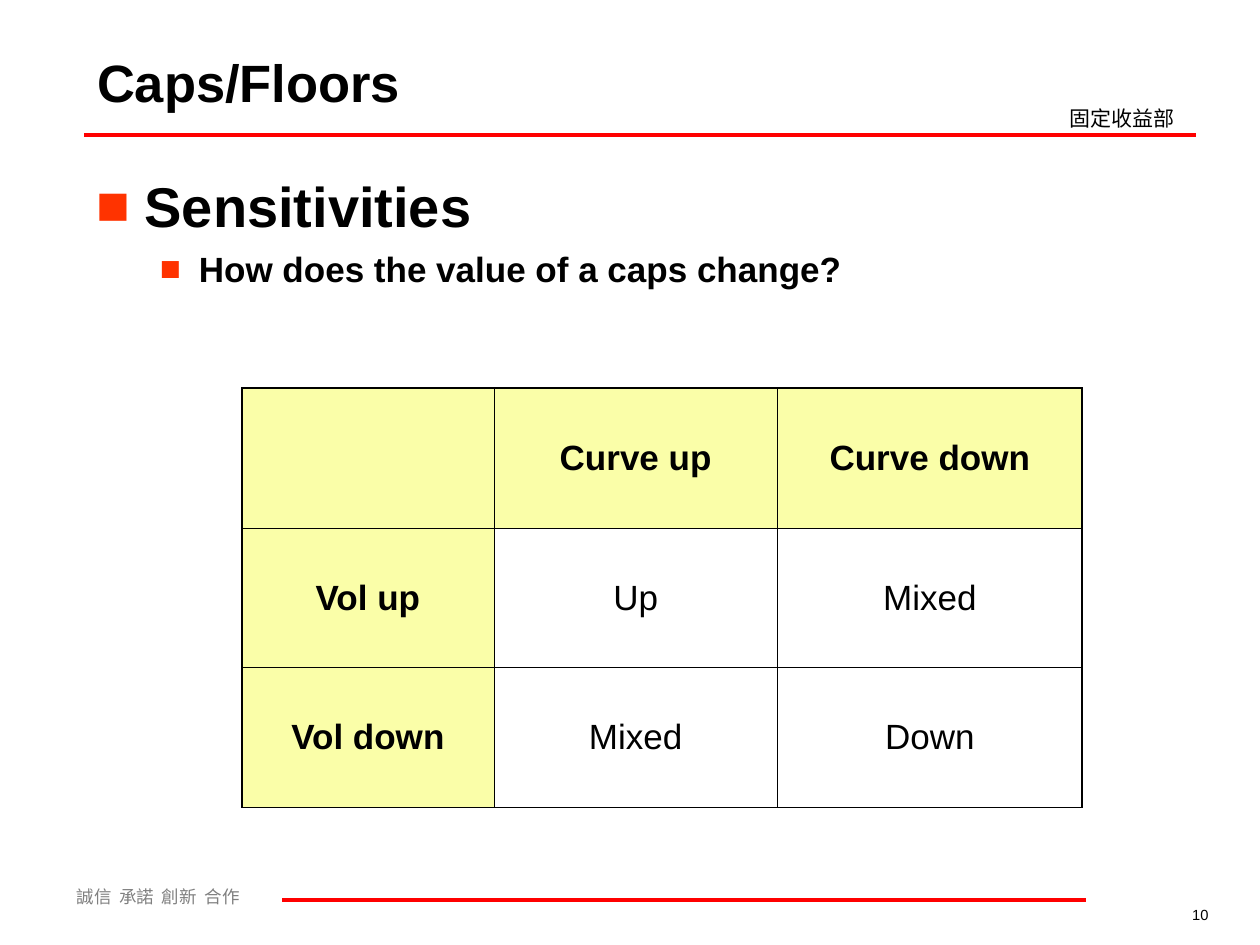
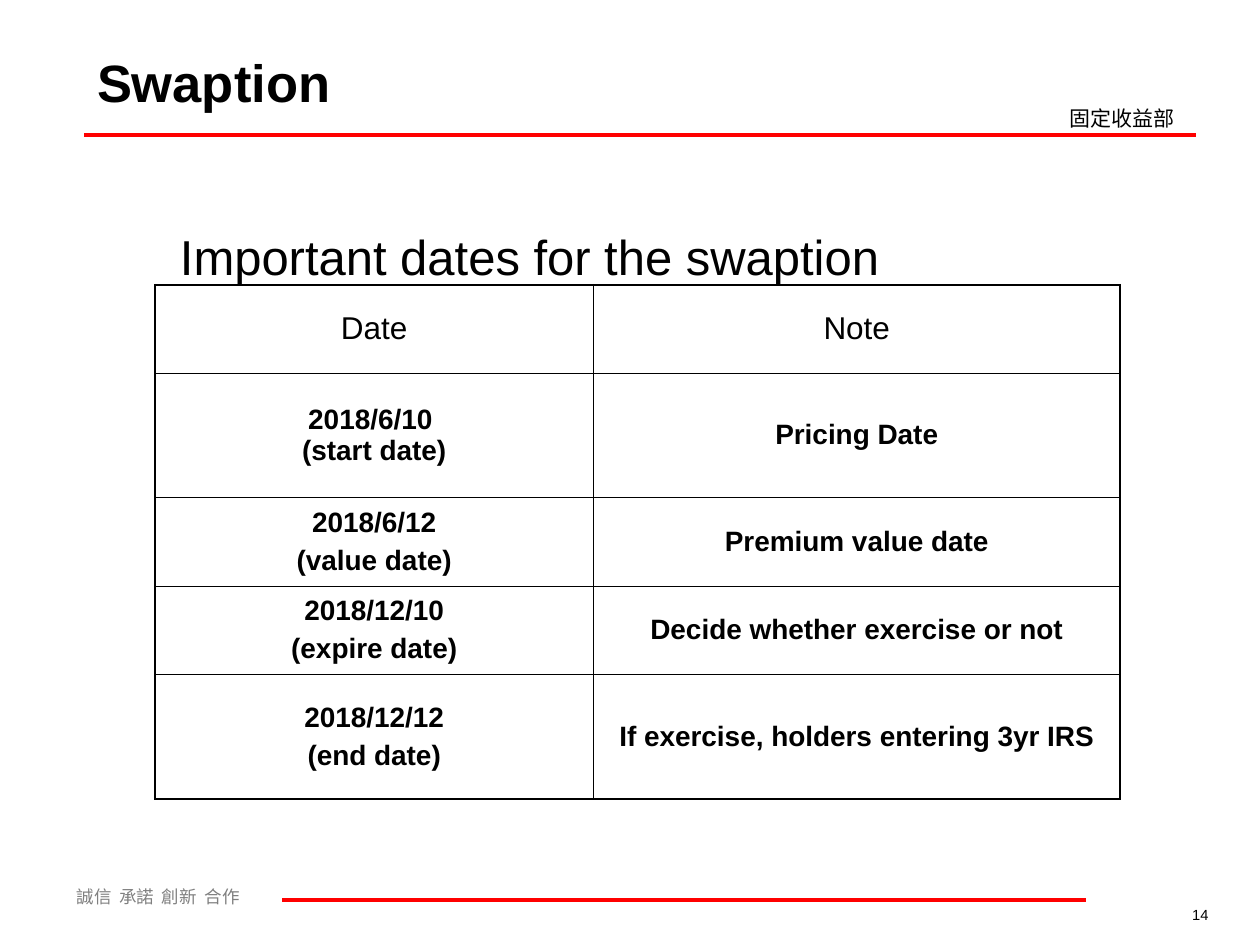
from copy import deepcopy
from dataclasses import dataclass
from typing import Any

from lxml import etree
from pptx import Presentation
from pptx import util as u
from pptx.dml.color import RGBColor
from pptx.enum import shapes, text
from pptx.oxml.ns import qn

PX = 9144
BLACK, RED, GRAY = "000000", "FF0000", "808080"
BULLET_ORANGE, HEADER_YELLOW = "FF3300", "FAFEA8"
LATIN, CJK = "Arial", "Noto Sans CJK SC"
OUTER_BORDER, INNER_BORDER = 1.08, 0.45


@dataclass(frozen=True)
class Box:
    left: int
    top: int
    width: int
    height: int


@dataclass(frozen=True)
class Rule:
    left: int
    right: int
    y: int


@dataclass(frozen=True)
class CellStyle:
    size: float
    bold: bool
    before: float
    fill: str | None = None


@dataclass(frozen=True)
class Grid:
    left: int
    top: int
    columns: tuple[int, ...]
    rows: tuple[int, ...]
    cells: tuple[tuple[str, ...], ...]
    header: CellStyle
    body: CellStyle
    header_column: bool = False


TITLE = Box(67, 30, 732, 69)
MOTTO = Box(51, 698, 252, 27)
DEPARTMENT = Box(839, 79, 126, 30)
PAGE_NUMBER = Box(831, 714, 138, 24)
RULES = (Rule(67, 949, 107), Rule(224, 862, 714))

SENSITIVITIES = Grid(
    192, 308, (200, 225, 242), (111,) * 3,
    (("", "Curve up", "Curve down"),
     ("Vol up", "Up", "Mixed"),
     ("Vol down", "Mixed", "Down")),
    header=CellStyle(20, True, 5, HEADER_YELLOW),
    body=CellStyle(20, False, 5),
    header_column=True,
)
SWAPTION_DATES = Grid(
    123, 226, (348, 418), (70, 99, 70, 70, 99),
    (("Date", "Note"),
     ("2018/6/10 \v(start date)", "Pricing Date"),
     ("2018/6/12\n(value date)", "Premium value date"),
     ("2018/12/10\n(expire date)", "Decide whether exercise or not"),
     ("2018/12/12\n(end date)", "If exercise, holders entering 3yr IRS")),
    header=CellStyle(18, False, 4.5),
    body=CellStyle(16, True, 4),
)


def px(length: int) -> u.Emu:
    return u.Emu(length * PX)


def rgb(value: str) -> RGBColor:
    return RGBColor.from_string(value)


def place(box: Box) -> tuple[u.Emu, ...]:
    return px(box.left), px(box.top), px(box.width), px(box.height)


def write(frame: Any, content: str, *, size: float, font: str = LATIN,
          color: str = BLACK, bold: bool = False, before: float = 0,
          align: Any = text.PP_ALIGN.LEFT, word_gap: float = 0) -> None:
    for index, line in enumerate(content.split("\n")):
        paragraph = frame.paragraphs[0] if index == 0 else frame.add_paragraph()
        paragraph.alignment = align
        paragraph.space_before = u.Pt(before)
        if word_gap:
            for position, word in enumerate(line.split(" ")):
                if position:
                    gap = paragraph.add_run()
                    gap.text = " "
                    gap.font._element.set("spc", str(round(word_gap * 100)))
                paragraph.add_run().text = word
        else:
            paragraph.text = line
        for run in paragraph.runs:
            run.font.name = font
            run.font.size = u.Pt(size)
            run.font.bold = bold
            run.font.color.rgb = rgb(color)
            etree.SubElement(run.font._element, qn("a:ea"), typeface=font)
        for line_break in paragraph._p.findall(qn("a:br")):
            line_break.append(deepcopy(paragraph.runs[0].font._element))


def add_text(slide: Any, box: Box, content: str, *, grow: bool = True,
             **style: Any) -> Any:
    frame = slide.shapes.add_textbox(*place(box)).text_frame
    frame.word_wrap = True
    if grow:
        frame.auto_size = text.MSO_AUTO_SIZE.SHAPE_TO_FIT_TEXT
    write(frame, content, **style)
    return frame


def add_rule(slide: Any, rule: Rule) -> None:
    line = slide.shapes.add_connector(
        shapes.MSO_CONNECTOR.STRAIGHT,
        px(rule.left), px(rule.y), px(rule.right), px(rule.y))
    line.line.color.rgb = rgb(RED)
    line.line.width = u.Pt(2.25)
    etree.SubElement(line._element.spPr, qn("a:effectLst"))


def add_bullet(paragraph: Any, indent: int, hang: int) -> None:
    properties = paragraph._p.get_or_add_pPr()
    properties.set("marL", str(px(indent)))
    properties.set("indent", str(-px(hang)))
    color = etree.SubElement(properties, qn("a:buClr"))
    etree.SubElement(color, qn("a:srgbClr"), val=BULLET_ORANGE)
    etree.SubElement(properties, qn("a:buFont"), typeface=LATIN)
    etree.SubElement(properties, qn("a:buChar"), char="■")


def set_borders(cell: Any, outer_sides: dict[str, bool]) -> None:
    properties = cell._tc.get_or_add_tcPr()
    for index, (side, is_outer) in enumerate(outer_sides.items()):
        width = u.Pt(OUTER_BORDER if is_outer else INNER_BORDER)
        border = etree.Element(qn(f"a:ln{side}"), w=str(width))
        fill = etree.SubElement(border, qn("a:solidFill"))
        etree.SubElement(fill, qn("a:srgbClr"), val=BLACK)
        properties.insert(index, border)


def add_grid(slide: Any, grid: Grid) -> None:
    box = Box(grid.left, grid.top, sum(grid.columns), sum(grid.rows))
    last_row, last_column = len(grid.rows) - 1, len(grid.columns) - 1
    table = slide.shapes.add_table(
        len(grid.rows), len(grid.columns), *place(box)).table
    table.first_row = table.horz_banding = False
    for column, width in zip(table.columns, grid.columns):
        column.width = px(width)
    for r, (height, values) in enumerate(zip(grid.rows, grid.cells)):
        table.rows[r].height = px(height)
        for c, value in enumerate(values):
            cell = table.cell(r, c)
            is_header = r == 0 or (grid.header_column and c == 0)
            style = grid.header if is_header else grid.body
            cell.vertical_anchor = text.MSO_ANCHOR.MIDDLE
            if style.fill:
                cell.fill.solid()
                cell.fill.fore_color.rgb = rgb(style.fill)
            else:
                cell.fill.background()
            set_borders(cell, {"L": c == 0, "R": c == last_column,
                               "T": r == 0, "B": r == last_row})
            write(cell.text_frame, value, size=style.size, bold=style.bold,
                  before=style.before, align=text.PP_ALIGN.CENTER)


def add_slide(deck: Any, heading: str, number: int) -> Any:
    slide = deck.slides.add_slide(deck.slide_layouts[5])
    title = slide.shapes.title
    title.left, title.top, title.width, title.height = place(TITLE)
    title.text_frame.vertical_anchor = text.MSO_ANCHOR.MIDDLE
    write(title.text_frame, heading, size=30, bold=True)
    add_text(slide, MOTTO, "誠信 承諾 創新 合作", size=10, font=CJK,
             color=GRAY, before=6.2, word_gap=2.2)
    for rule in RULES:
        add_rule(slide, rule)
    add_text(slide, DEPARTMENT, "固定收益部", size=12, font=CJK, before=7.5)
    add_text(slide, PAGE_NUMBER, str(number), grow=False, size=8.4,
             align=text.PP_ALIGN.RIGHT)
    return slide


def add_caps_slide(deck: Any) -> None:
    slide = add_slide(deck, "Caps/Floors", 10)
    outline = add_text(slide, Box(67, 131, 883, 539), "Sensitivities",
                       grow=False, size=32, bold=True, before=8)
    add_bullet(outline.paragraphs[0], 38, 38)
    question = outline.add_paragraph()
    question.level = 1
    question.space_before = u.Pt(5)
    run = question.add_run()
    run.text = "How does the value of a caps change?"
    run.font.name, run.font.size, run.font.bold = LATIN, u.Pt(20), True
    run.font.color.rgb = rgb(BLACK)
    add_bullet(question, 81, 31)
    add_grid(slide, SENSITIVITIES)


def add_swaption_slide(deck: Any) -> None:
    slide = add_slide(deck, "Swaption", 14)
    add_grid(slide, SWAPTION_DATES)
    add_text(slide, Box(133, 175, 725, 57), "Important dates for the swaption",
             size=28, before=17.5)


def main() -> None:
    deck = Presentation()
    deck.slide_width, deck.slide_height = px(1000), px(750)
    add_caps_slide(deck)
    add_swaption_slide(deck)
    deck.save("out.pptx")


if __name__ == "__main__":
    main()
